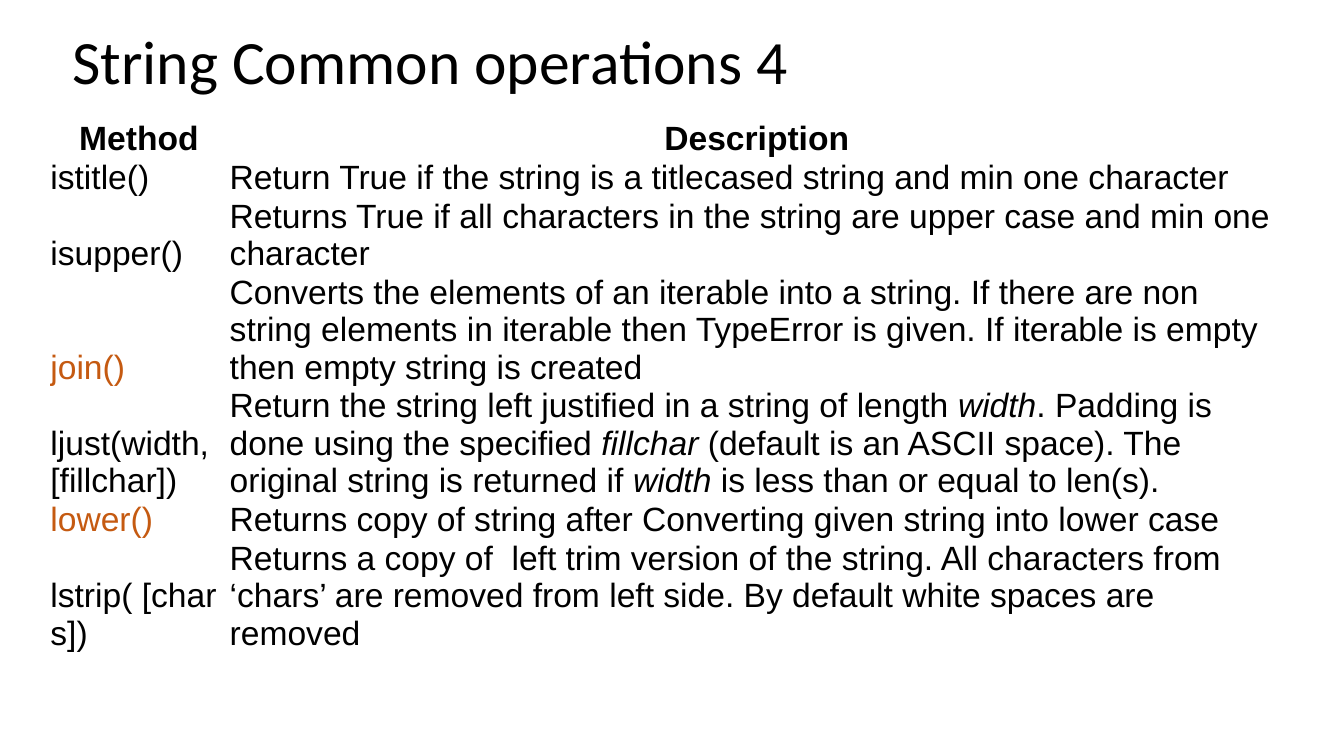
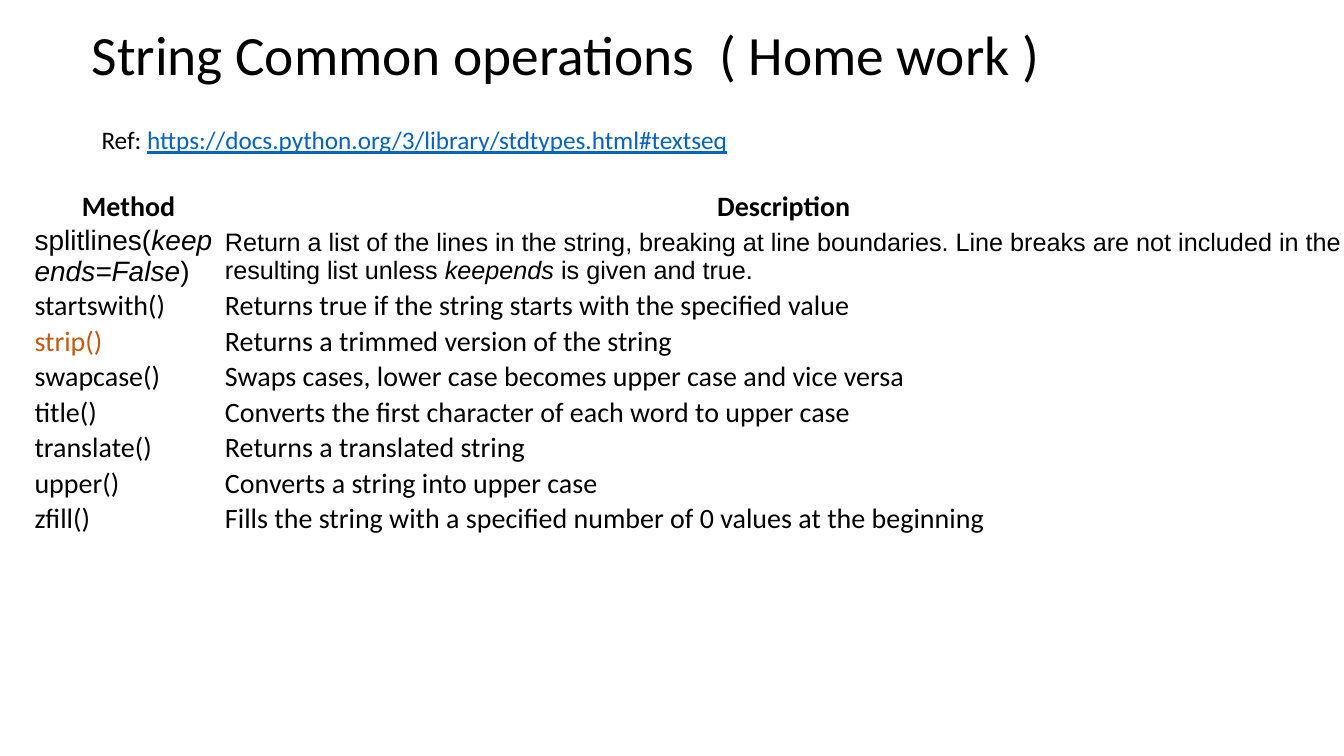
from dataclasses import dataclass

from pptx import Presentation
from pptx.dml.color import RGBColor
from pptx.enum.text import MSO_ANCHOR, MSO_AUTO_SIZE, PP_ALIGN
from pptx.util import Cm, Pt

BLACK = "000000"
ORANGE = "C55A11"
LINK_BLUE = "0563C1"
TITLE_ONLY = 5


@dataclass
class Operation:
    method: str
    description: str
    color: str = BLACK
    font: str = ""
    description_size: float = 0


def rgb(value):
    return RGBColor.from_string(value)


class Deck:
    heading_font = "Calibri"
    cell_margin = Cm(0.03)

    def __init__(self):
        self.presentation = Presentation()
        self.presentation.slide_width = Cm(33.87)
        self.presentation.slide_height = Cm(19.05)
        self.slide = None

    def style(self, font, name, size, color=BLACK, bold=False):
        font.name = name
        font.size = Pt(size)
        font.bold = bold
        font.color.rgb = rgb(color)

    def add_slide(self, title, left, top, height, size):
        layout = self.presentation.slide_layouts[TITLE_ONLY]
        self.slide = self.presentation.slides.add_slide(layout)
        heading = self.slide.shapes.title
        heading.left, heading.top = Cm(left), Cm(top)
        heading.width, heading.height = Cm(29.21), Cm(height)
        frame = heading.text_frame
        frame.text = title
        frame.auto_size = MSO_AUTO_SIZE.NONE
        frame.vertical_anchor = MSO_ANCHOR.MIDDLE
        paragraph = frame.paragraphs[0]
        paragraph.alignment = PP_ALIGN.LEFT
        paragraph.line_spacing = 0.9
        self.style(paragraph.font, self.heading_font, size)

    def add_reference(self, label, address, left, top, width, height):
        box = self.slide.shapes.add_textbox(Cm(left), Cm(top), Cm(width), Cm(height))
        box.text_frame.word_wrap = True
        paragraph = box.text_frame.paragraphs[0]
        self.style(paragraph.font, self.heading_font, 18)
        paragraph.add_run().text = label
        link = paragraph.add_run()
        link.text = address
        link.font.color.rgb = rgb(LINK_BLUE)
        link.font.underline = True

    def fill_cell(self, cell, text, font, size, color=BLACK, anchor=MSO_ANCHOR.MIDDLE, header=False):
        cell.fill.background()
        cell.vertical_anchor = anchor
        cell.margin_left = cell.margin_right = cell.margin_top = self.cell_margin
        cell.margin_bottom = 0
        paragraph = cell.text_frame.paragraphs[0]
        paragraph.alignment = PP_ALIGN.CENTER if header else PP_ALIGN.LEFT
        self.style(paragraph.font, font, size, color, header)
        for index, part in enumerate(text.split("*")):
            if part:
                run = paragraph.add_run()
                run.text = part
                if index % 2:
                    run.font.italic = True

    def add_operations(self, operations, left, top, widths, row_height, font, size):
        row_count = len(operations) + 1
        table = self.slide.shapes.add_table(
            row_count, 2, Cm(left), Cm(top), Cm(sum(widths)), Cm(row_height * row_count)
        ).table
        table.first_row = table.horz_banding = False
        for column, width in zip(table.columns, widths):
            column.width = Cm(width)
        for row in table.rows:
            row.height = Cm(row_height)
        for column, label in enumerate(("Method", "Description")):
            self.fill_cell(table.cell(0, column), label, font, size, header=True)
        for row, operation in enumerate(operations, 1):
            row_font = operation.font or font
            self.fill_cell(table.cell(row, 0), operation.method, row_font, size,
                           operation.color, MSO_ANCHOR.BOTTOM)
            self.fill_cell(table.cell(row, 1), operation.description, row_font,
                           operation.description_size or size)

    def save(self):
        self.presentation.save("out.pptx")


COMMON_OPERATIONS = [
    Operation("istitle()", "Return True if the string is a titlecased string and min one character"),
    Operation("isupper()", "Returns True if all characters in the string are upper case and min one character"),
    Operation("join()", "Converts the elements of an iterable into a string. If there are non string "
              "elements in iterable then TypeError is given. If iterable is empty then empty "
              "string is created", ORANGE),
    Operation("ljust(width, [fillchar])", "Return the string left justified in a string of length "
              "*width*. Padding is done using the specified *fillchar* (default is an ASCII space). "
              "The original string is returned if *width* is less than or equal to len(s)."),
    Operation("lower()", "Returns copy of string after Converting given string into lower case", ORANGE),
    Operation("lstrip( [chars])", "Returns a copy of  left trim version of the string. All characters "
              "from ‘chars’ are removed from left side. By default white spaces are removed"),
]

HOMEWORK_OPERATIONS = [
    Operation("splitlines(*keepends=False*)", "Return a list of the lines in the string, breaking at "
              "line boundaries. Line breaks are not included in the resulting list unless "
              "*keepends* is given and true.", font="Arial", description_size=18),
    Operation("startswith()", "Returns true if the string starts with the specified value"),
    Operation("strip()", "Returns a trimmed version of the string", ORANGE),
    Operation("swapcase()", "Swaps cases, lower case becomes upper case and vice versa"),
    Operation("title()", "Converts the first character of each word to upper case"),
    Operation("translate()", "Returns a translated string"),
    Operation("upper()", "Converts a string into upper case"),
    Operation("zfill()", "Fills the string with a specified number of 0 values at the beginning"),
]


def main():
    deck = Deck()

    deck.add_slide("String Common operations 4", 1.57, 0.23, 2.77, 44)
    deck.add_operations(COMMON_OPERATIONS, 1.24, 3, (4.52, 26.62), 0.86, "Arial", 24)

    deck.add_slide("String Common operations  ( Home work )", 2.06, 0.56, 1.78, 39.6)
    deck.add_operations(HOMEWORK_OPERATIONS, 0.84, 4.75, (4.8, 28.22), 0.76, "Calibri", 20)
    deck.add_reference("Ref: ", "https://docs.python.org/3/library/stdtypes.html#textseq",
                       2.31, 3.02, 16.46, 1.02)

    deck.save()


if __name__ == "__main__":
    main()
